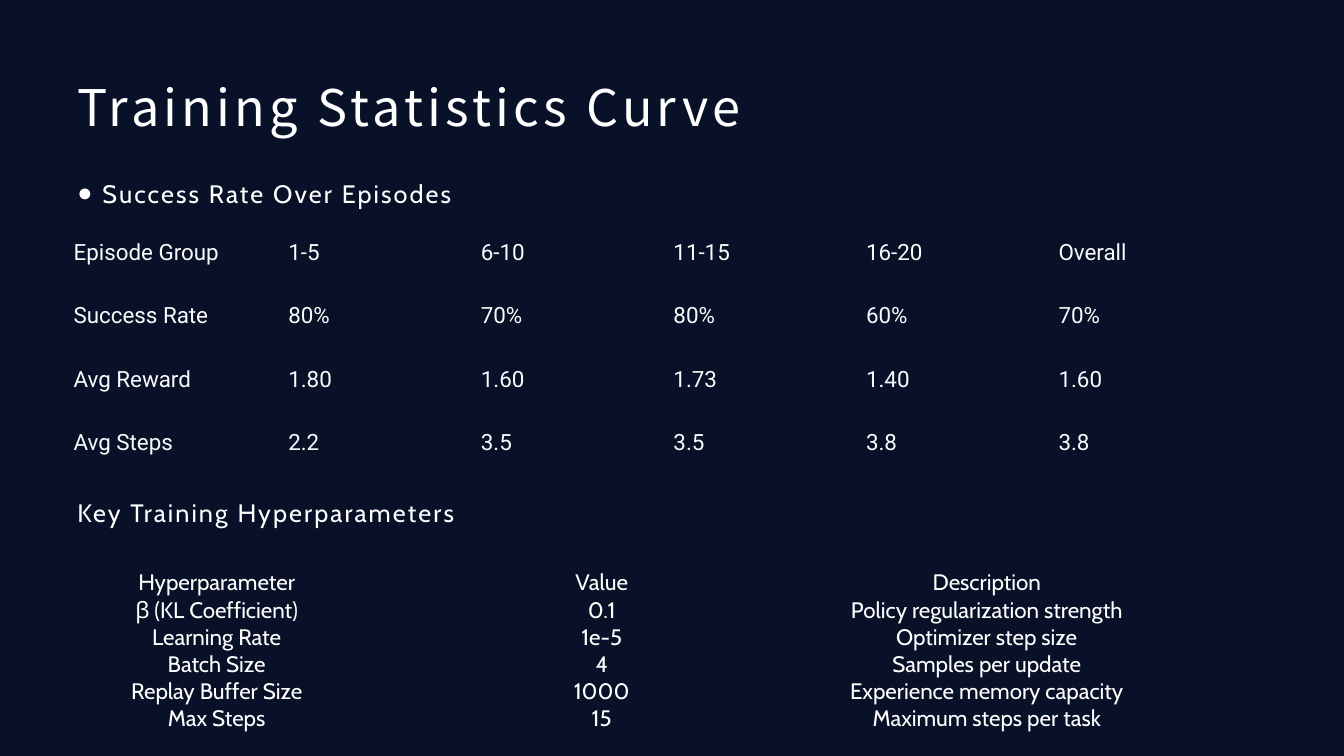
from lxml import etree
from pptx import Presentation
from pptx.dml.color import RGBColor
from pptx.enum.text import MSO_ANCHOR, MSO_AUTO_SIZE, PP_ALIGN
from pptx.oxml.ns import qn
from pptx.util import Inches, Pt

LEFT, CENTER = PP_ALIGN.LEFT, PP_ALIGN.CENTER
TOP, MIDDLE = MSO_ANCHOR.TOP, MSO_ANCHOR.MIDDLE
NO_AUTOFIT = MSO_AUTO_SIZE.NONE

COLORS = {"background": "091128", "text": "FFFFFF", "statistics": "F9FAFB"}
HEADING_FONT, BODY_FONT, STATISTICS_FONT = "Noto Sans CJK JP", "Cabin", "Roboto"
PLAIN_TABLE_STYLE = "{2D5ABB26-0587-4C30-8999-92F81FD0307C}"

SLIDE_WIDTH, SLIDE_HEIGHT = Inches(13.33), Inches(7.5)
COLUMN, ROW = SLIDE_WIDTH / 100, SLIDE_HEIGHT / 100

STATISTICS = [
    ["Episode Group", "1-5", "6-10", "11-15", "16-20", "Overall"],
    ["Success Rate", "80%", "70%", "80%", "60%", "70%"],
    ["Avg Reward", "1.80", "1.60", "1.73", "1.40", "1.60"],
    ["Avg Steps", "2.2", "3.5", "3.5", "3.8", "3.8"],
]
HYPERPARAMETERS = [
    ["Hyperparameter", "Value", "Description"],
    ["β (KL Coefficient)", "0.1", "Policy regularization strength"],
    ["Learning Rate", "1e-5", "Optimizer step size"],
    ["Batch Size", "4", "Samples per update"],
    ["Replay Buffer Size", "1000", "Experience memory capacity"],
    ["Max Steps", "15", "Maximum steps per task"],
]


def grid_box(left, top, width, height):
    """Convert grid columns and rows to slide lengths."""
    return int(left * COLUMN), int(top * ROW), int(width * COLUMN), int(height * ROW)


def add_run(paragraph, text, size, font, color="text", spacing=0):
    """Add one formatted run with letter spacing in points."""
    run = paragraph.add_run()
    run.text = text
    run.font.size = Pt(size)
    run.font.name = font
    run.font.color.rgb = RGBColor.from_string(COLORS[color])
    if spacing:
        run.font._element.set("spc", str(int(spacing * 100)))


def place_placeholder(shape, box, anchor):
    """Move a placeholder and return its text frame."""
    shape.left, shape.top, shape.width, shape.height = grid_box(*box)
    frame = shape.text_frame
    frame.auto_size = NO_AUTOFIT
    frame.word_wrap = True
    frame.vertical_anchor = anchor
    return frame


def format_heading(paragraph, text, bullet=None, space_before=0):
    """Write a section heading with an optional bullet."""
    properties = paragraph._p.get_or_add_pPr()
    indent = Inches(0.25) if bullet else 0
    properties.set("marL", str(indent))
    properties.set("indent", str(-indent))
    if bullet:
        etree.SubElement(properties, qn("a:buChar")).set("char", bullet)
    else:
        etree.SubElement(properties, qn("a:buNone"))
    paragraph.line_spacing = 1.3
    paragraph.space_before = Pt(space_before)
    paragraph.space_after = Pt(10)
    add_run(paragraph, text, 18, BODY_FONT, spacing=1.5)


def add_plain_table(slide, values, left, top, column_width, row_height,
                    font, color, alignment, padding=(0, 0), line_spacing=None):
    """Add an unfilled table with equal columns and rows."""
    row_count, column_count = len(values), len(values[0])
    box = grid_box(left, top, column_width * column_count, row_height * row_count)
    table = slide.shapes.add_table(row_count, column_count, *box).table
    table.first_row = table.horz_banding = False
    table._tbl.tblPr.find(qn("a:tableStyleId")).text = PLAIN_TABLE_STYLE
    side, vertical = (Inches(length) for length in padding)
    for row_index, row in enumerate(values):
        for column_index, text in enumerate(row):
            cell = table.cell(row_index, column_index)
            cell.fill.background()
            cell.vertical_anchor = MIDDLE
            cell.margin_left = side if column_index else 0
            cell.margin_right = side
            cell.margin_top = cell.margin_bottom = vertical
            paragraph = cell.text_frame.paragraphs[0]
            paragraph.alignment = alignment
            if line_spacing:
                paragraph.line_spacing = Pt(line_spacing)
            add_run(paragraph, text, 16, font, color)


def main():
    """Build and save the training statistics slide."""
    presentation = Presentation()
    presentation.slide_width, presentation.slide_height = SLIDE_WIDTH, SLIDE_HEIGHT
    slide = presentation.slides.add_slide(presentation.slide_layouts[1])
    slide.background.fill.solid()
    slide.background.fill.fore_color.rgb = RGBColor.from_string(COLORS["background"])

    title = place_placeholder(slide.shapes.title, (5, 8.9, 90, 10.3), MIDDLE)
    title.paragraphs[0].alignment = LEFT
    add_run(title.paragraphs[0], "Training Statistics Curve", 36, HEADING_FONT, spacing=3)

    body = place_placeholder(slide.placeholders[1], (5, 21.7, 90, 69.3), TOP)
    format_heading(body.paragraphs[0], "Success Rate Over Episodes", bullet="●")
    format_heading(body.add_paragraph(), "Key Training Hyperparameters", space_before=190)

    add_plain_table(slide, HYPERPARAMETERS, 1.8, 75.3, 28.65, 3.6,
                    BODY_FONT, "text", CENTER)
    add_plain_table(slide, STATISTICS, 5.48, 28.7, 14.33, 8.3,
                    STATISTICS_FONT, "statistics", LEFT, (0.22, 0.14), 25)
    presentation.save("out.pptx")


if __name__ == "__main__":
    main()
